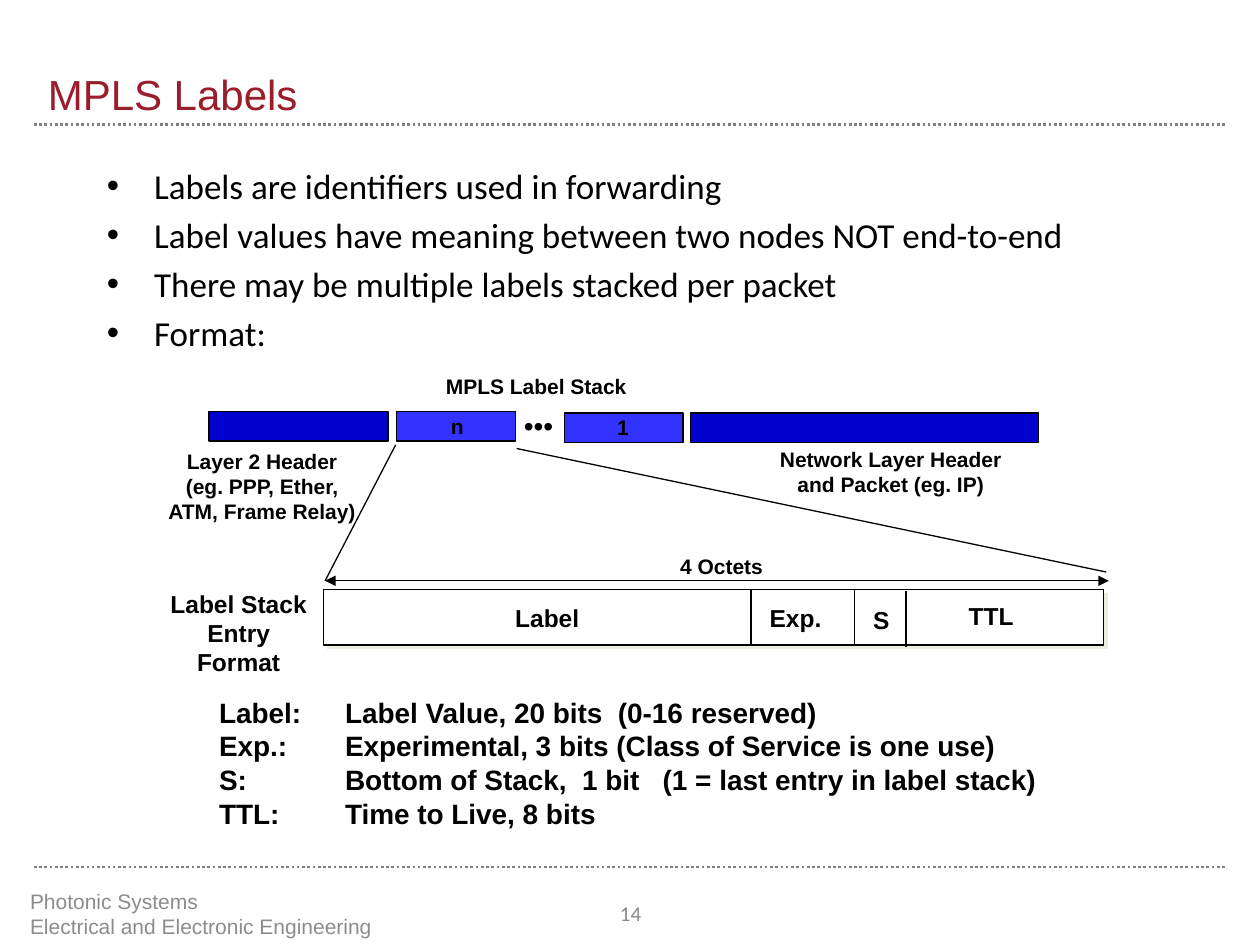
from lxml.etree import SubElement
from pptx import Presentation
from pptx.dml.color import RGBColor
from pptx.enum.dml import MSO_LINE
from pptx.enum.shapes import MSO_CONNECTOR, MSO_SHAPE
from pptx.enum.text import MSO_ANCHOR, PP_ALIGN
from pptx.oxml.ns import qn
from pptx.util import Pt

BLACK = "000000"
DARK_BLUE = "0000CC"
BLUE = "3333FF"
CENTER = PP_ALIGN.CENTER
MIDDLE = MSO_ANCHOR.MIDDLE


def color(value):
    return RGBColor.from_string(value)


def write(frame, text, font="Arial", size=12, ink=BLACK, bold=True,
          align=PP_ALIGN.LEFT, before=0, bullet=None, indent=27, tab=None):
    for index, line in enumerate(text.split("\n")):
        para = frame.paragraphs[0] if index == 0 else frame.add_paragraph()
        para.alignment = align
        para.space_before = Pt(before)
        span = para.add_run()
        span.text = line
        span.font.name = font
        span.font.size = Pt(size)
        span.font.bold = bold
        span.font.color.rgb = color(ink)
        properties = para._p.get_or_add_pPr()
        if bullet:
            properties.set("marL", str(Pt(indent)))
            properties.set("indent", str(Pt(-indent)))
            SubElement(properties, qn("a:buFont"), typeface="Arial")
            SubElement(properties, qn("a:buChar"), char=bullet)
        if tab:
            stops = SubElement(properties, qn("a:tabLst"))
            SubElement(stops, qn("a:tab"), pos=str(Pt(tab)), algn="l")


class Slide:
    def __init__(self, deck):
        self.page = deck.slides.add_slide(deck.slide_layouts[6])
        self.line_width = 0.75

    def text(self, left, top, width, height, text, wrap=False,
             anchor=MSO_ANCHOR.TOP, **style):
        box = self.page.shapes.add_textbox(Pt(left), Pt(top), Pt(width), Pt(height))
        frame = box.text_frame
        frame.word_wrap = wrap
        frame.vertical_anchor = anchor
        write(frame, text, **style)

    def bar(self, left, top, width, height, fill, shadow=None):
        box = self.page.shapes.add_shape(
            MSO_SHAPE.RECTANGLE, Pt(left), Pt(top), Pt(width), Pt(height))
        box.shadow.inherit = False
        box.fill.solid()
        box.fill.fore_color.rgb = color(fill)
        box.line.color.rgb = color(BLACK)
        box.line.width = Pt(self.line_width)
        if shadow:
            effects = box._element.spPr.find(qn("a:effectLst"))
            outer = SubElement(effects, qn("a:outerShdw"), dist=str(Pt(2.8)),
                               dir="2700000", algn="ctr", rotWithShape="0")
            SubElement(outer, qn("a:srgbClr"), val=shadow)

    def line(self, x1, y1, x2, y2, ink=BLACK, width=None, dash=None, arrows=False):
        line = self.page.shapes.add_connector(
            MSO_CONNECTOR.STRAIGHT, Pt(x1), Pt(y1), Pt(x2), Pt(y2))
        line.line.color.rgb = color(ink)
        line.line.width = Pt(width or self.line_width)
        if dash:
            line.line.dash_style = dash
        if arrows:
            for end in ("a:headEnd", "a:tailEnd"):
                SubElement(line.line._get_or_add_ln(), qn(end), type="triangle")
        SubElement(line._element.spPr, qn("a:effectLst"))


def add_frame(slide):
    for y in (71.3, 495.4):
        slide.line(19.4, y, 700.6, y, ink="808080", width=1.5, dash=MSO_LINE.ROUND_DOT)
    slide.text(20.2, 0, 680.4, 71.3, "MPLS Labels", wrap=True,
               anchor=MSO_ANCHOR.BOTTOM, size=24, ink="9A1D2B", bold=False)
    slide.text(10.1, 507.6, 304.6, 28.8,
               "Photonic Systems\nElectrical and Electronic Engineering",
               wrap=True, anchor=MIDDLE, ink="8C8C8C", bold=False)
    slide.text(331.9, 507.6, 56.9, 28.8, "14", wrap=True, anchor=MIDDLE,
               font="Calibri", ink="898989", bold=False, align=CENTER)


def add_bullets(slide):
    slide.text(54, 90.4, 612, 345,
               "Labels are identifiers used in forwarding\n"
               "Label values have meaning between two nodes NOT end-to-end\n"
               "There may be multiple labels stacked per packet\n"
               "Format:",
               wrap=True, font="Calibri", size=20, bold=False, before=4, bullet="•")


def add_packet(slide):
    for left, top, width, fill in (
            (119.5, 235, 102.2, DARK_BLUE), (226.8, 235, 67.7, BLUE),
            (322.6, 236, 67.7, BLUE), (394.6, 236, 198.7, DARK_BLUE)):
        slide.bar(left, top, width, 17, fill)
    slide.text(247.7, 209.8, 118.1, 21.6, "MPLS Label Stack")
    slide.text(250.6, 232.6, 21.6, 21.6, "n")
    slide.text(345.6, 233.6, 20.9, 21.6, "1")
    slide.text(292.3, 229.7, 31.7, 26.6, "•••", size=16, bold=False)
    slide.text(88.6, 252.7, 122.4, 50.4,
               "Layer 2 Header\n(eg. PPP, Ether,\nATM, Frame Relay)", align=CENTER)
    slide.text(438.5, 251.5, 141.1, 36,
               "Network Layer Header\nand Packet (eg. IP)", align=CENTER)


def add_entry(slide):
    slide.line(226.1, 254.2, 185.8, 331.9)
    slide.line(295.2, 256.3, 632.2, 326.9)
    slide.line(185.8, 331.9, 633.6, 331.9, arrows=True)
    slide.text(381.6, 312.8, 61.9, 21.6, "4 Octets")
    slide.bar(185, 337, 445.7, 31.7, "FFFFFF", shadow="EEECE1")
    for x, top in ((429.1, 337), (488.2, 337), (517.7, 338)):
        slide.line(x, top, x, top + 32)
    for left, top, width, name in (
            (287.3, 340.8, 51.1, "Label"), (432.7, 340.8, 43.9, "Exp."),
            (491.8, 342, 23.8, "S"), (546.5, 339.8, 40.3, "TTL")):
        slide.text(left, top, width, 23.8, name, size=14)
    slide.text(87.8, 332.8, 97.2, 57.6, "Label Stack\nEntry Format",
               wrap=True, size=14, align=CENTER)
    slide.text(118.1, 393.8, 483.8, 84.2,
               "Label:\tLabel Value, 20 bits  (0-16 reserved)\n"
               "Exp.:\tExperimental, 3 bits (Class of Service is one use)\n"
               "S:\tBottom of Stack,  1 bit   (1 = last entry in label stack)\n"
               "TTL:\tTime to Live, 8 bits", size=16, tab=72)


def main():
    deck = Presentation()
    deck.slide_width, deck.slide_height = Pt(720), Pt(540)
    slide = Slide(deck)
    add_frame(slide)
    add_bullets(slide)
    add_packet(slide)
    add_entry(slide)
    deck.save("out.pptx")


if __name__ == "__main__":
    main()
